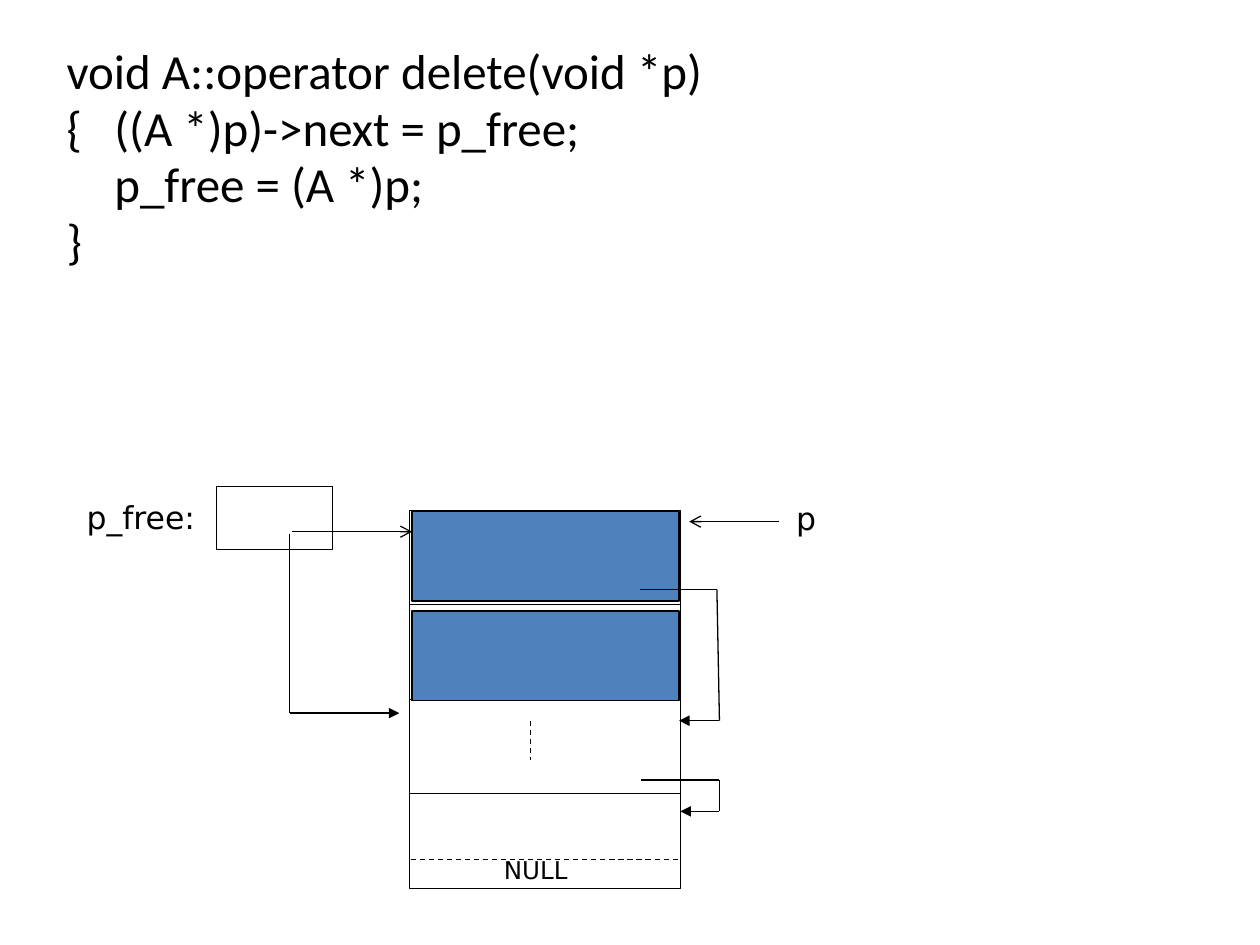
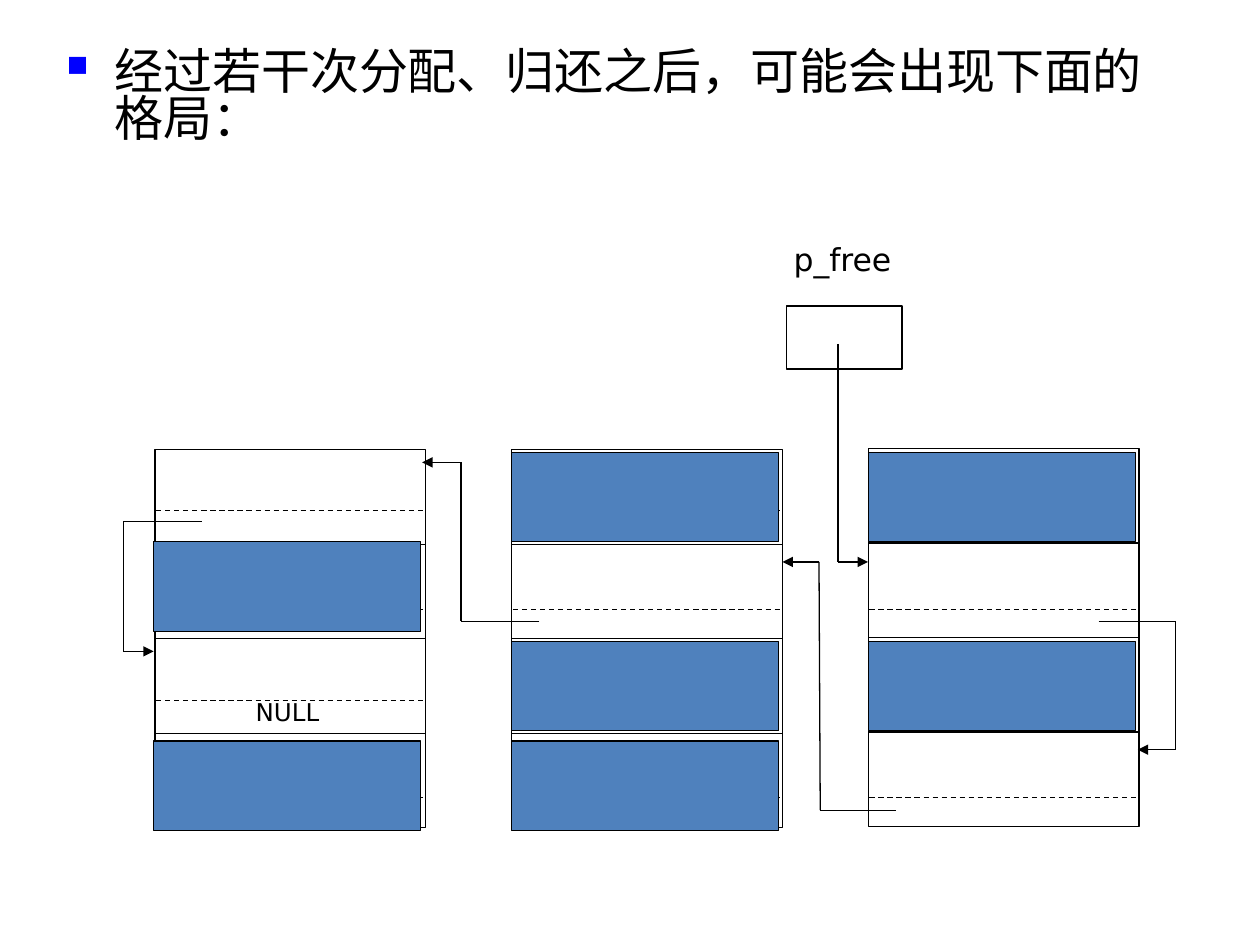
"""Build two slides that show how a class keeps its list of free blocks."""
import pptx
import pptx.util
import pptx.dml.color
import pptx.enum.dml
import pptx.enum.shapes
import pptx.enum.text
import pptx.oxml
import pptx.oxml.ns
import lxml.etree

Inches = pptx.util.Inches
Pt = pptx.util.Pt
color = pptx.dml.color.RGBColor.from_string
qn = pptx.oxml.ns.qn
BLACK, BLUE, MARK = "000000", "4F81BD", "0000FF"
WIDE, TALL, ROW = 2.15, 3, 0.75


def box(slide, left, top, width, height, fill=None):
    shape = slide.shapes.add_shape(
        pptx.enum.shapes.MSO_SHAPE.RECTANGLE,
        Inches(left), Inches(top), Inches(width), Inches(height))
    shape.shadow.inherit = False
    shape.line.color.rgb = color(BLACK)
    shape.line.width = Pt(0.75)
    if fill:
        shape.fill.solid()
        shape.fill.fore_color.rgb = color(fill)
    else:
        shape.fill.background()


def wire(slide, points, head=None, dash=False):
    for start, end in zip(points, points[1:]):
        line = slide.shapes.add_connector(
            pptx.enum.shapes.MSO_CONNECTOR.STRAIGHT,
            *[Inches(n) for n in start + end])
        line.line.color.rgb = color(BLACK)
        line.line.width = Pt(0.75)
        if dash:
            line.line.dash_style = pptx.enum.dml.MSO_LINE.DASH
        props = line.element.spPr
        if head and end == points[-1]:
            lxml.etree.SubElement(props.find(qn("a:ln")), qn("a:tailEnd"), type=head)
        lxml.etree.SubElement(props, qn("a:effectLst"))


deck = pptx.Presentation()
deck.slide_width, deck.slide_height = Inches(10), Inches(7.5)
first, second = [deck.slides.add_slide(deck.slide_layouts[6]) for _ in range(2)]

code = [
    "void A::operator delete(void *p)",
    "{\t((A *)p)->next = p_free;",
    "\tp_free = (A *)p;",
    "}",
]
note = ["经过若干次分配、归还之后，可能会出现下面的格局："]
for slide, lines, font, height, bullet in [
    (first, code, "Calibri", 2.05, False),
    (second, note, "DejaVu Sans", 1.1, True),
]:
    frame = slide.shapes.add_textbox(
        Inches(0.43), Inches(0.36), Inches(9), Inches(height)).text_frame
    frame.word_wrap = True
    for i, words in enumerate(lines):
        para = frame.add_paragraph() if i else frame.paragraphs[0]
        para.line_spacing = 0.8
        para.space_before = Pt(5.6)
        run = para.add_run()
        run.text = words
        run.font.size = Pt(28)
        run.font.name = font
        run.font.color.rgb = color(BLACK)
        props = para._p.get_or_add_pPr()
        props.set("marL", str(Inches(0.38)))
        props.set("indent", str(Inches(-0.38)))
        if bullet:
            tint = lxml.etree.SubElement(props, qn("a:buClr"))
            lxml.etree.SubElement(tint, qn("a:srgbClr"), val=MARK)
            lxml.etree.SubElement(props, qn("a:buSzPct"), val="60000")
            lxml.etree.SubElement(props, qn("a:buChar"), char="■")

for slide, left, top, splits in [
    (first, 3.25, 4.05, [6.82]),
    (second, 1.23, 3.57, [4.05, 4.84, 5.56, 6.33]),
    (second, 4.06, 3.57, [4.05, 4.84, 6.33]),
    (second, 6.89, 3.56, [4.05, 4.84, 6.33]),
]:
    box(slide, left, top, WIDE, TALL)
    for i in range(1, 4):
        y = top + i * ROW
        wire(slide, [(left, y), (left + WIDE, y)])
    for y in splits:
        wire(slide, [(left + 0.01, y), (left + WIDE - 0.01, y)], dash=True)

for slide, left, top in [
    (first, 3.27, 4.06), (first, 3.27, 4.85),
    (second, 1.22, 4.3), (second, 1.22, 5.88),
    (second, 4.06, 3.59), (second, 4.06, 5.09), (second, 4.06, 5.88),
    (second, 6.89, 3.59), (second, 6.89, 5.09),
]:
    box(slide, left, top, 2.12, 0.71, BLUE)

for slide, left, top in [(first, 1.72, 3.86), (second, 6.24, 2.43)]:
    box(slide, left, top, 0.92, 0.5)

wire(first, [(4.21, 5.72), (4.21, 6.03)], dash=True)
for slide, head, points in [
    (first, "triangle", [(2.3, 4.24), (2.3, 5.66), (3.17, 5.66)]),
    (first, "triangle", [(5.08, 4.68), (5.69, 4.68), (5.71, 5.72), (5.39, 5.72)]),
    (first, "triangle", [(5.09, 6.19), (5.71, 6.19), (5.71, 6.44), (5.4, 6.44)]),
    (first, "arrow", [(2.32, 4.22), (3.27, 4.22)]),
    (first, "arrow", [(6.18, 4.14), (5.47, 4.14)]),
    (second, "triangle", [(6.65, 2.73), (6.65, 4.46), (6.89, 4.46)]),
    (second, "triangle", [(8.72, 4.93), (9.33, 4.93), (9.33, 5.95), (9.03, 5.95)]),
    (second, "triangle", [(7.11, 6.43), (6.51, 6.43), (6.5, 4.46), (6.21, 4.46)]),
    (second, "triangle", [(4.28, 4.93), (3.66, 4.93), (3.66, 3.67), (3.35, 3.67)]),
    (second, "triangle", [(1.6, 4.14), (0.98, 4.14), (0.98, 5.17), (1.22, 5.17)]),
]:
    wire(slide, points, head)

for slide, words, size, left, top, width, height in [
    (first, "p_free:", 18, 0.59, 3.9, 1.13, 0.4),
    (first, "p", 18, 6.22, 3.91, 0.36, 0.4),
    (first, "NULL", 14, 3.9, 6.74, 0.72, 0.34),
    (second, "p_free", 18, 6.2, 1.86, 1.01, 0.4),
    (second, "NULL", 14, 1.93, 5.48, 0.72, 0.34),
]:
    frame = slide.shapes.add_textbox(
        Inches(left), Inches(top), Inches(width), Inches(height)).text_frame
    frame.word_wrap = False
    frame.auto_size = pptx.enum.text.MSO_AUTO_SIZE.SHAPE_TO_FIT_TEXT
    run = frame.paragraphs[0].add_run()
    run.text = words
    run.font.size = Pt(size)
    run.font.name = "DejaVu Sans"
    run.font.color.rgb = color(BLACK)

deck.save("out.pptx")
